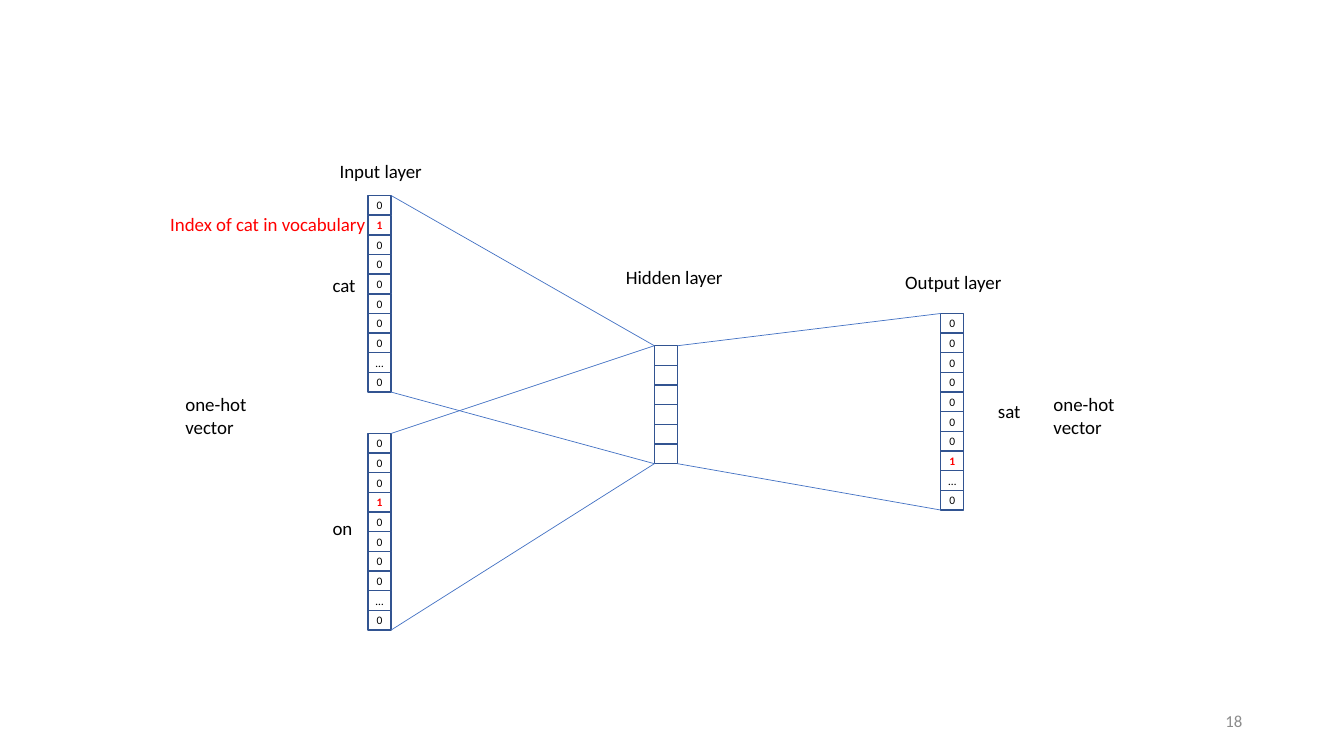
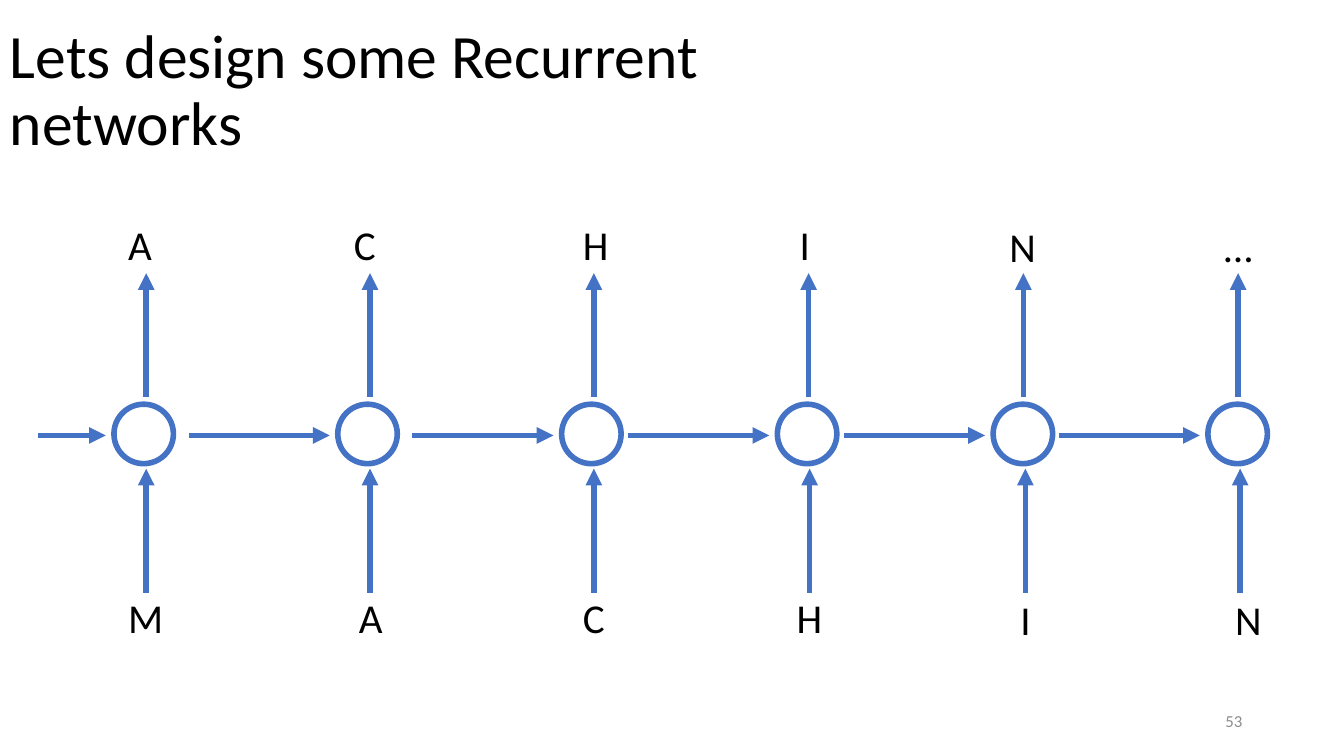
from itertools import product

from lxml.etree import SubElement
from pptx import Presentation
from pptx.dml.color import RGBColor
from pptx.enum.shapes import MSO_CONNECTOR as Connector, MSO_SHAPE as Shape
from pptx.enum.text import MSO_ANCHOR as Anchor, MSO_AUTO_SIZE as AutoSize, PP_ALIGN as Align
from pptx.oxml.ns import qn
from pptx.util import Inches, Pt

BLACK = RGBColor(0, 0, 0)
RED = RGBColor(0xFF, 0, 0)
GREY = RGBColor(0x8C, 0x8C, 0x8C)
BLUE = RGBColor(0x44, 0x72, 0xC4)
NAVY = RGBColor(0x32, 0x54, 0x91)
FONT = "Calibri"

SLIDE_W, SLIDE_H = 13.33, 7.5
CELL_W, CELL_H = 0.23, 0.195
NODE = 0.59

MIDDLE = {"vertical_anchor": Anchor.MIDDLE, "word_wrap": True}
FITTED = {"word_wrap": False, "auto_size": AutoSize.SHAPE_TO_FIT_TEXT}
LETTER = FITTED | {"margin_left": Inches(0.07), "margin_right": Inches(0.07)}
CELL = {"vertical_anchor": Anchor.MIDDLE, "word_wrap": False,
        "margin_left": 0, "margin_right": 0, "margin_top": 0, "margin_bottom": 0}


def apply(target, values):
    for name, value in values.items():
        setattr(target, name, value)


def write(frame, text, size, color=BLACK, bold=False, frame_format=FITTED, **paragraph_format):
    """Fill a text frame: a newline starts a paragraph, a vertical tab breaks a line."""
    apply(frame, frame_format)
    frame.text = text
    for paragraph in frame.paragraphs:
        apply(paragraph, paragraph_format)
        for run in paragraph.runs:
            apply(run.font, {"name": FONT, "size": Pt(size), "bold": bold})
            run.font.color.rgb = color


def add_label(slide, box, text, size, **formats):
    label = slide.shapes.add_textbox(*map(Inches, box))
    write(label.text_frame, text, size, **formats)


def add_outline(shapes, preset, box, color, weight):
    outline = shapes.add_shape(preset, *map(Inches, box))
    outline.shadow.inherit = False
    outline.fill.background()
    outline.line.color.rgb = color
    outline.line.width = Pt(weight)
    return outline


def add_link(slide, start, end, weight, arrow=False):
    link = slide.shapes.add_connector(Connector.STRAIGHT, *map(Inches, (*start, *end)))
    link.line.color.rgb = BLUE
    link.line.width = Pt(weight)
    if arrow:
        SubElement(link.line._get_or_add_ln(), qn("a:tailEnd"), type="triangle")
    SubElement(link._element.spPr, qn("a:effectLst"))


def add_page(deck, number):
    slide = deck.slides.add_slide(deck.slide_layouts[6])
    add_label(slide, (9.42, 6.95, 3, 0.4), number, 12, color=GREY,
              frame_format=MIDDLE, alignment=Align.RIGHT)
    return slide


def add_vector(slide, left, top, values):
    """Stack one cell per value and return the (left, right, top, bottom) edges."""
    cells = slide.shapes.add_group_shape().shapes
    for row, value in enumerate(values):
        cell = add_outline(cells, Shape.RECTANGLE,
                           (left, top + row * CELL_H, CELL_W, CELL_H), NAVY, 1)
        if value:
            hot = value == "1"
            write(cell.text_frame, value, 8.2, color=RED if hot else BLACK, bold=hot,
                  frame_format=CELL, alignment=Align.CENTER)
    return left, left + CELL_W, top, top + len(values) * CELL_H


def connect_layers(slide, source, target):
    """Join the top corners and the bottom corners of two facing vectors."""
    for edge in (2, 3):
        add_link(slide, (source[1], source[edge]), (target[0], target[edge]), 0.5)


def embedding_slide(deck):
    slide = add_page(deck, "18")
    cat = add_vector(slide, 3.65, 1.94, "01000000…0")
    on = add_vector(slide, 3.65, 4.3, "00010000…0")
    hidden = add_vector(slide, 6.49, 3.43, [""] * 6)
    sat = add_vector(slide, 9.33, 3.11, "00000001…0")
    for source, target in [(cat, hidden), (on, hidden), (hidden, sat)]:
        connect_layers(slide, source, target)

    for left, top, width, text in [
        (3.27, 1.53, 1.03, "Input layer"),
        (6.11, 2.59, 1.18, "Hidden layer"),
        (8.88, 2.64, 1.17, "Output layer"),
        (3.2, 2.67, 0.43, "cat"),
        (3.2, 5.08, 0.4, "on"),
        (9.8, 3.92, 0.43, "sat"),
    ]:
        add_label(slide, (left, top, width, 0.33), text, 13.5)
    for left in (1.74, 10.35):
        add_label(slide, (left, 3.85, 0.82, 0.56), "one-hot\nvector", 13.5)
    add_label(slide, (1.59, 2.06, 2.17, 0.33), "Index of cat in vocabulary", 13.5, color=RED)


def add_step(slide, left, top, reach, out_shift, letters):
    """Draw one time step around the node at (left, top); reach is the state arrow's length."""
    add_outline(slide.shapes, Shape.OVAL, (left, top, NODE, NODE), BLUE, 4)
    state_x, state_y = left - 0.08, top + 0.31
    in_x, out_x = left + 0.32, left + out_shift
    for start, end in [
        ((state_x - reach, state_y), (state_x, state_y)),
        ((in_x, top + 1.87), (in_x, top + 0.64)),
        ((out_x, top - 0.07), (out_x, top - 1.3)),
    ]:
        add_link(slide, start, end, 4, arrow=True)
    for (letter, shift, width, drop), rise in zip(letters, (1.82, -1.88)):
        add_label(slide, (left + shift, top + rise + drop, width, 0.59), letter, 29.3,
                  frame_format=LETTER)


def recurrent_slide(deck):
    slide = add_page(deck, "53")
    add_label(slide, (0, 0, SLIDE_W, 1.83), "Lets design some Recurrent \vnetworks", 44,
              frame_format=MIDDLE, line_spacing=0.9)
    # Each letter: text, shift from the node, width, drop; the input comes first.
    for left, reach, out_shift, *letters in [
        (1.13, 0.67, 0.32, ("M", 0.07, 0.49, 0), ("A", 0.07, 0.37, 0)),
        (3.35, 1.4, 0.32, ("A", 0.14, 0.37, 0), ("C", 0.09, 0.35, 0)),
        (5.57, 1.4, 0.32, ("C", 0.14, 0.35, 0), ("H", 0.14, 0.39, 0)),
        (7.71, 1.4, 0.31, ("H", 0.12, 0.39, 0), ("I", 0.15, 0.24, 0)),
        (9.85, 1.4, 0.3, ("I", 0.2, 0.24, 0.02), ("N", 0.09, 0.4, 0.02)),
        (11.98, 1.4, 0.3, ("N", 0.2, 0.4, 0.02), ("…", 0.09, 0.42, 0.02)),
    ]:
        add_step(slide, left, 4.01, reach, out_shift, letters)


def main():
    deck = Presentation()
    apply(deck, {"slide_width": Inches(SLIDE_W), "slide_height": Inches(SLIDE_H)})
    embedding_slide(deck)
    recurrent_slide(deck)
    deck.save("out.pptx")


if __name__ == "__main__":
    main()
